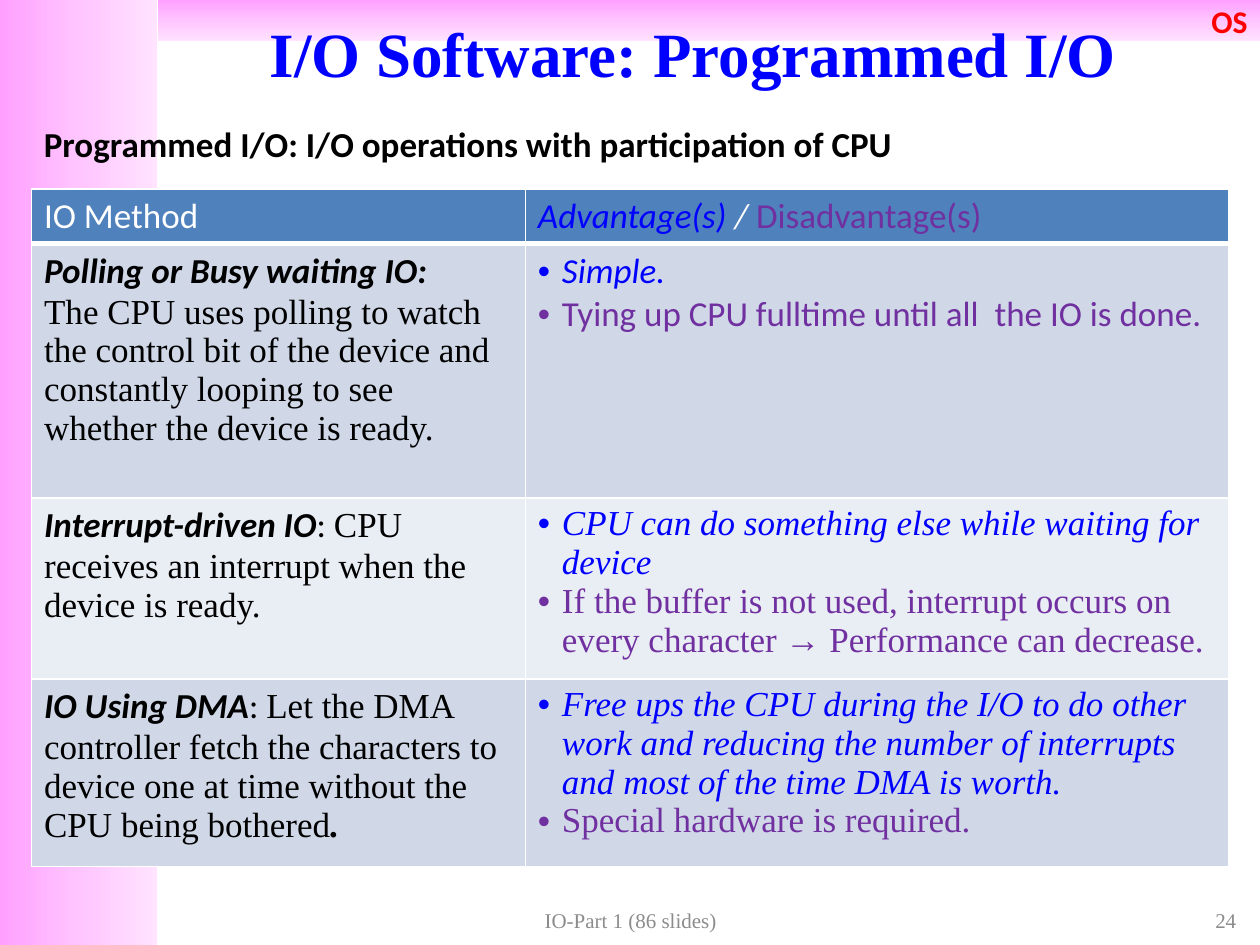
from copy import deepcopy

from lxml import etree
from pptx import Presentation
from pptx.dml.color import RGBColor
from pptx.enum import shapes, text
from pptx.oxml import ns
from pptx.util import Inches, Pt

PINKS = [RGBColor(0xFF, 0xA0, 0xFF), RGBColor(0xFF, 0xC5, 0xFF), RGBColor(0xFF, 0xE3, 0xFF)]
BLACK = RGBColor(0, 0, 0)
WHITE = RGBColor(0xFF, 0xFF, 0xFF)
BLUE = RGBColor(0, 0, 0xFF)
RED = RGBColor(0xFF, 0, 0)
PURPLE = RGBColor(0x70, 0x30, 0xA0)
GREY = RGBColor(0x8C, 0x8C, 0x8C)
HEADER = RGBColor(0x4F, 0x81, 0xBD)
BAND_DARK = RGBColor(0xD0, 0xD8, 0xE8)
BAND_LIGHT = RGBColor(0xE9, 0xED, 0xF4)
SANS, SERIF = "Calibri", "Times New Roman"
LEFT, CENTER, RIGHT = text.PP_ALIGN.LEFT, text.PP_ALIGN.CENTER, text.PP_ALIGN.RIGHT
TOP, MIDDLE = text.MSO_ANCHOR.TOP, text.MSO_ANCHOR.MIDDLE


def add_run(paragraph, content, size=20, font=SANS, color=BLACK, bold=False, italic=False):
    """Append a formatted run to a paragraph."""
    run = paragraph.add_run()
    run.text = content
    run.font.size, run.font.name = Pt(size), font
    run.font.bold, run.font.italic = bold, italic
    run.font.color.rgb = color


def add_text(slide, box, content, align=LEFT, anchor=MIDDLE, **style):
    """Place a one-paragraph text box."""
    frame = slide.shapes.add_textbox(*map(Inches, box)).text_frame
    frame.word_wrap = True
    frame.vertical_anchor = anchor
    frame.paragraphs[0].alignment = align
    add_run(frame.paragraphs[0], content, **style)


def add_band(slide, box, angle):
    """Place a pink gradient rectangle."""
    shape = slide.shapes.add_shape(shapes.MSO_SHAPE.RECTANGLE, *map(Inches, box))
    shape.shadow.inherit = False
    shape.line.fill.background()
    shape.fill.gradient()
    shape.fill.gradient_angle = angle
    stop_list = shape.element.spPr.find(".//" + ns.qn("a:gsLst"))
    stop_list.insert(1, deepcopy(stop_list[0]))
    for index, (stop, color) in enumerate(zip(shape.fill.gradient_stops, PINKS)):
        stop.position = index / 2
        stop.color.rgb = color
    return shape


def set_borders(cell, bottom=1):
    """Give a cell white borders."""
    properties = cell._tc.get_or_add_tcPr()
    for index, (side, width) in enumerate(zip("LRTB", (1, 1, 1, bottom))):
        line = etree.Element(ns.qn("a:ln" + side), w=str(Pt(width)))
        fill = etree.SubElement(line, ns.qn("a:solidFill"))
        etree.SubElement(fill, ns.qn("a:srgbClr"), val=str(WHITE))
        properties.insert(index, line)


def add_bullet(paragraph):
    """Turn a paragraph into a bulleted item."""
    properties = paragraph._p.get_or_add_pPr()
    properties.set("marL", str(Inches(0.19)))
    properties.set("indent", str(Inches(-0.19)))
    etree.SubElement(properties, ns.qn("a:buFont"), typeface="Arial")
    etree.SubElement(properties, ns.qn("a:buChar"), char="•")


def fill_cell(cell, paragraphs, color, bulleted=False, bottom=1):
    """Write paragraphs of (text, format) runs into a cell."""
    cell.fill.solid()
    cell.fill.fore_color.rgb = color
    set_borders(cell, bottom)
    for index, runs in enumerate(paragraphs):
        frame = cell.text_frame
        paragraph = frame.add_paragraph() if index else frame.paragraphs[0]
        if bulleted:
            add_bullet(paragraph)
        for content, style in runs:
            add_run(paragraph, content, **style)


def add_methods_table(slide, box, widths, heights):
    """Place the table comparing the I/O methods."""
    name, body = dict(bold=True, italic=True), dict(font=SERIF)
    final = dict(font=SERIF, bold=True, italic=True)
    methods = [
        ([[("Polling or Busy waiting IO:", name)],
          [("The CPU uses polling to watch the control bit of the device and constantly "
            "looping to see whether the device is ready.", body)]],
         SANS, "Simple.", "Tying up CPU fulltime until all  the IO is done."),
        ([[("Interrupt-driven IO", name), (": ", {}),
           ("CPU receives an interrupt when the device is ready.", body)]],
         SERIF, "CPU can do something else while waiting for device",
         "If the buffer is not used, interrupt occurs on every character → "
         "Performance can decrease."),
        ([[("IO Using DMA", name), (": ", {}),
           ("Let the DMA controller fetch the characters to device one at time without "
            "the CPU being bothered", body), (".", final)]],
         SERIF, "Free ups the CPU during the I/O to do other work and reducing the number "
         "of interrupts and most of the time DMA is worth.",
         "Special hardware is required."),
    ]
    table = slide.shapes.add_table(len(heights), len(widths), *map(Inches, box)).table
    table.first_row = table.horz_banding = False
    for column, width in zip(table.columns, widths):
        column.width = Inches(width)
    for row, height in zip(table.rows, heights):
        row.height = Inches(height)
    heading = [("Advantage(s)", dict(color=BLUE, italic=True)),
               (" / ", dict(color=WHITE, italic=True)),
               ("Disadvantage(s)", dict(color=PURPLE))]
    fill_cell(table.cell(0, 0), [[("IO Method", dict(color=WHITE))]], HEADER, bottom=3)
    fill_cell(table.cell(0, 1), [heading], HEADER, bottom=3)
    for row, (method, font, advantage, disadvantage) in enumerate(methods, 1):
        color = BAND_DARK if row % 2 else BAND_LIGHT
        fill_cell(table.cell(row, 0), method, color)
        points = [[(advantage, dict(font=font, color=BLUE, italic=True))],
                  [(disadvantage, dict(font=font, color=PURPLE))]]
        fill_cell(table.cell(row, 1), points, color, bulleted=True)


def add_background(slide, width, height, side, top):
    """Place the side and top bands with the course label."""
    add_band(slide, (0, 0, side, height), 0)
    frame = add_band(slide, (side, 0, width - side, top), 270).text_frame
    frame.vertical_anchor = MIDDLE
    frame.paragraphs[0].alignment = RIGHT
    add_run(frame.paragraphs[0], "OS", size=18, color=RED, bold=True)


def add_footer(slide, top, height):
    """Place the footer text and the slide number."""
    style = dict(size=12, font=SERIF, color=GREY)
    add_text(slide, (3.42, top, 3.17, height), "IO-Part 1 (86 slides)", CENTER, **style)
    add_text(slide, (7.58, top, 2.33, height), "24", RIGHT, **style)


def main():
    """Build and save the slide."""
    presentation = Presentation()
    presentation.slide_width, presentation.slide_height = Inches(10), Inches(7.5)
    slide = presentation.slides.add_slide(presentation.slide_layouts[6])
    add_background(slide, 10, 7.5, side=1.25, top=0.33)
    add_text(slide, (1, 0, 9, 0.83), "I/O Software: Programmed I/O", CENTER,
             size=36, font=SERIF, color=BLUE, bold=True)
    add_methods_table(slide, (0.25, 1.5, 9.5, 5.27), (3.92, 5.58), (0.43, 2.02, 1.33, 1.49))
    add_text(slide, (0.25, 0.92, 9.5, 0.44),
             "Programmed I/O: I/O operations with participation of CPU", anchor=TOP, bold=True)
    add_footer(slide, 7.17, 0.27)
    presentation.save("out.pptx")


main()
